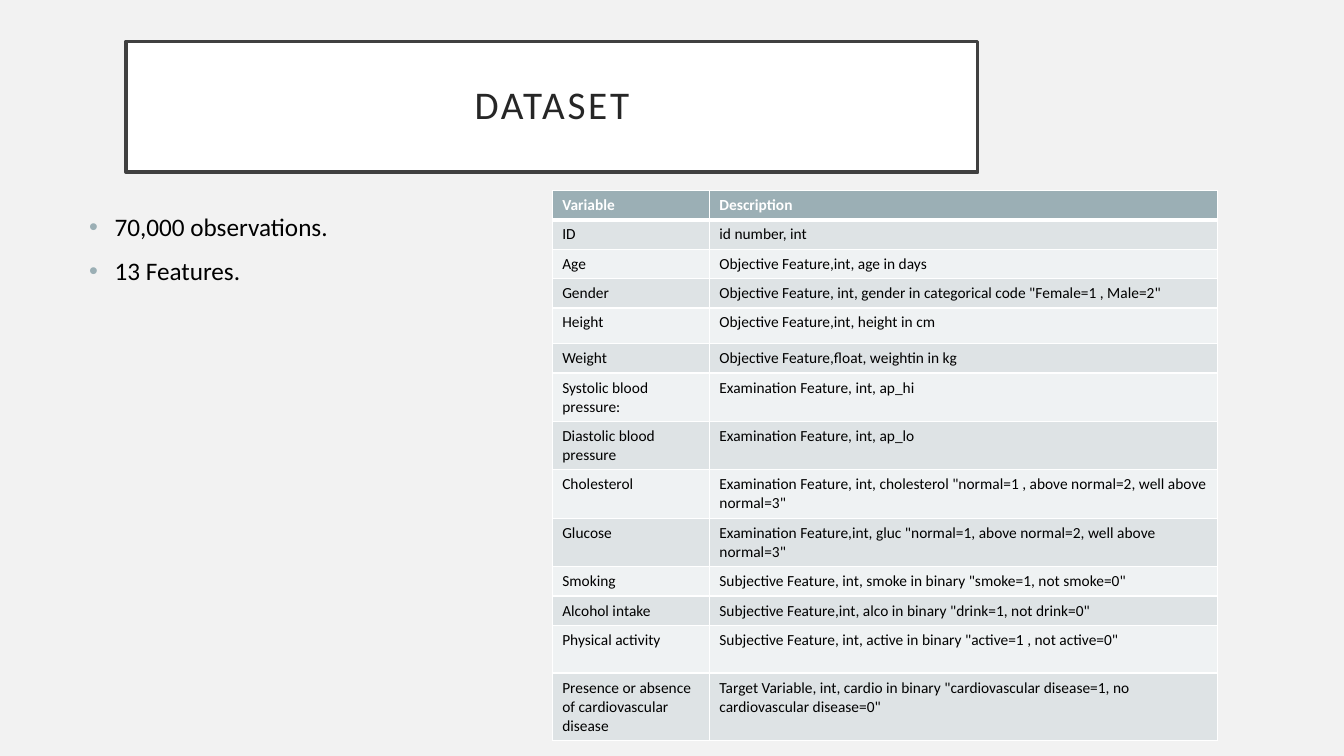
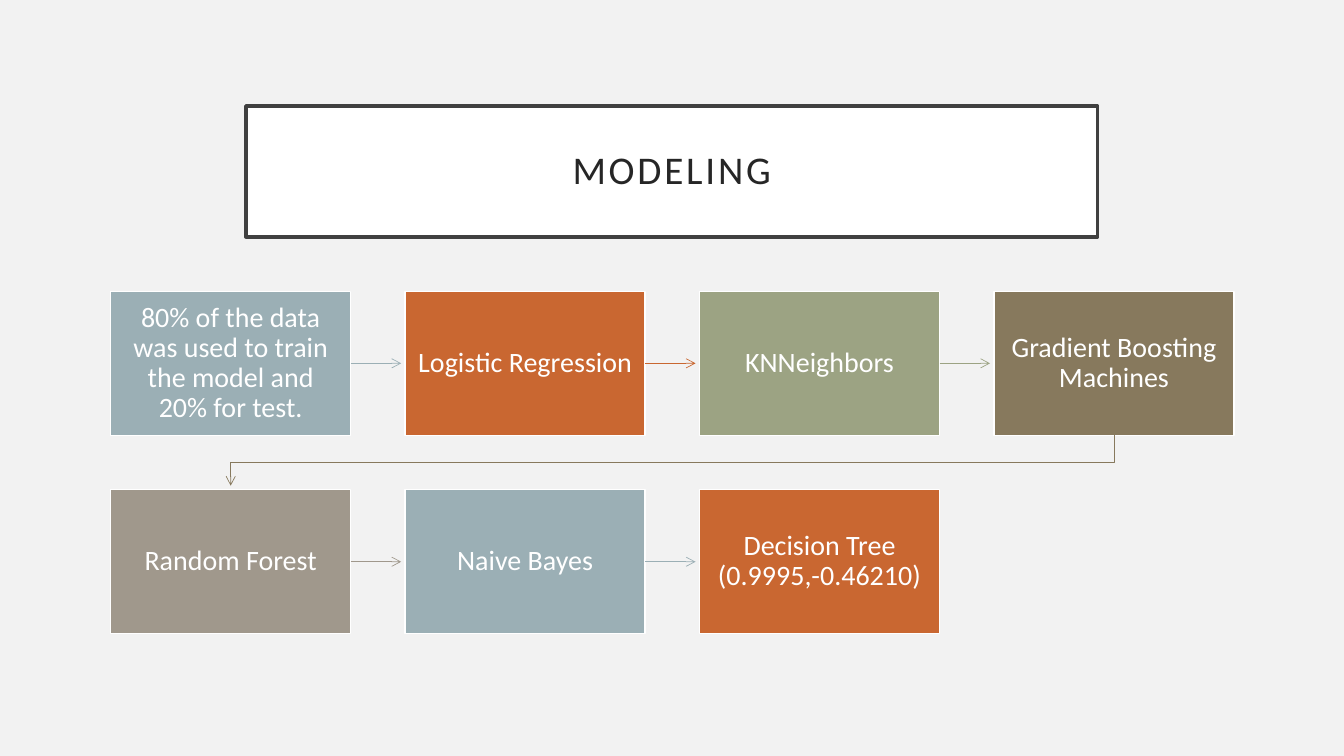
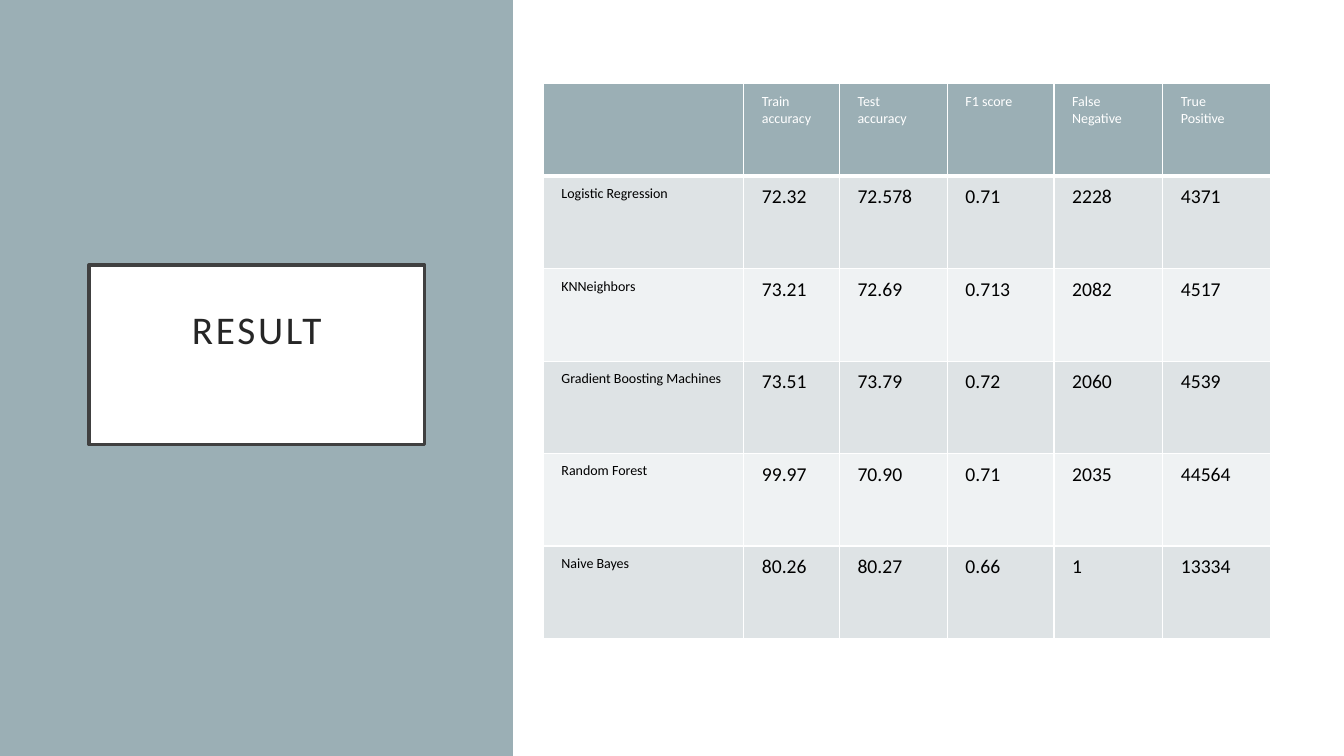
from dataclasses import dataclass
from typing import Any

from lxml.etree import SubElement
from pptx import Presentation
from pptx.dml.color import RGBColor
from pptx.enum.shapes import MSO_CONNECTOR, MSO_SHAPE
from pptx.enum.text import MSO_ANCHOR, MSO_AUTO_SIZE, PP_ALIGN
from pptx.oxml.ns import qn
from pptx.util import Cm, Pt

FONT = "Calibri"
WHITE = RGBColor(0xFF, 0xFF, 0xFF)
BLACK = RGBColor(0x00, 0x00, 0x00)
PALE = RGBColor(0xF2, 0xF2, 0xF2)
FRAME = RGBColor(0x40, 0x40, 0x40)
INK = RGBColor(0x26, 0x26, 0x26)
TEAL = RGBColor(0x9B, 0xAF, 0xB5)
RUST = RGBColor(0xC9, 0x67, 0x31)
SAGE = RGBColor(0x9C, 0xA3, 0x83)
BROWN = RGBColor(0x87, 0x79, 0x5D)
STONE = RGBColor(0xA0, 0x98, 0x8C)
BANDS = (RGBColor(0xEF, 0xF2, 0xF3), RGBColor(0xDE, 0xE3, 0xE5))
HUES = (TEAL, RUST, SAGE, BROWN, STONE)


@dataclass
class Box:
    """A place on the slide, in centimetres."""
    left: float
    top: float
    width: float
    height: float

    def dims(self) -> tuple:
        """Return the place as lengths."""
        return Cm(self.left), Cm(self.top), Cm(self.width), Cm(self.height)


@dataclass
class Grid:
    """A table: its corner, sizes, text and cell style."""
    left: float
    top: float
    cols: list[float]
    rows: list[float]
    cells: list[tuple[str, ...]]
    pad: tuple[float, float]
    sizes: tuple[float, float]
    bold: bool


FACTS = ["70,000 observations.", "13 Features."]

FIELDS = Grid(13.92, 4.8, [3.96, 12.8],
              [0.74] * 4 + [0.9, 0.74] + [1.22] * 4 + [0.74] * 2 + [1.2, 1.7], [
    ("Variable", "Description"),
    ("ID", "id number, int"),
    ("Age", "Objective Feature,int, age in days"),
    ("Gender", 'Objective Feature, int, gender in categorical code "Female=1 , Male=2"'),
    ("Height", "Objective Feature,int, height in cm"),
    ("Weight", "Objective Feature,float, weightin in kg"),
    ("Systolic blood pressure:", "Examination Feature, int, ap_hi"),
    ("Diastolic blood pressure", "Examination Feature, int, ap_lo"),
    ("Cholesterol",
     'Examination Feature, int, cholesterol "normal=1 , above normal=2, well above normal=3"'),
    ("Glucose", 'Examination Feature,int, gluc "normal=1, above normal=2, well above normal=3"'),
    ("Smoking", 'Subjective Feature, int, smoke in binary "smoke=1, not smoke=0"'),
    ("Alcohol intake", 'Subjective Feature,int, alco in binary "drink=1, not drink=0"'),
    ("Physical activity", 'Subjective Feature, int, active in binary "active=1 , not active=0"'),
    ("Presence or absence of cardiovascular disease",
     'Target Variable, int, cardio in binary "cardiovascular disease=1, '
     'no cardiovascular disease=0"'),
], (0.25, 0.13), (11, 11), True)

SCORES = Grid(13.69, 2.11, [5.05, 2.41, 2.72, 2.69, 2.74, 2.72], [2.33] * 6, [
    ("", "Train accuracy", "Test accuracy", "F1 score", "False Negative", "True Positive"),
    ("Logistic Regression", "72.32", "72.578", "0.71", "2228", "4371"),
    ("KNNeighbors", "73.21", "72.69", "0.713", "2082", "4517"),
    ("Gradient Boosting Machines", "73.51", "73.79", "0.72", "2060", "4539"),
    ("Random Forest", "99.97", "70.90", "0.71", "2035", "44564"),
    ("Naive Bayes", "80.26", "80.27", "0.66", "1", "13334"),
], (0.46, 0.23), (10, 14), False)

STEPS = [
    "80% of the data was used to train the model and 20% for test.",
    "Logistic Regression",
    "KNNeighbors",
    "Gradient Boosting Machines",
    "Random Forest",
    "Naive Bayes",
    "Decision Tree (0.9995,-0.46210)",
]
PER_ROW = 4
STEP = Box(2.79, 7.34, 6.05, 3.63)
PITCH = (7.42, 5.0)
SPACE = 0.1


def put(thing: Any, vals: dict) -> None:
    """Set each named value on an object."""
    for name, val in vals.items():
        setattr(thing, name, val)


def pads(side: float, top: float, base: float) -> dict:
    """Return the four text margins."""
    return {"margin_left": Cm(side), "margin_right": Cm(side),
            "margin_top": Cm(top), "margin_bottom": Cm(base)}


def write(para: Any, text: str, size: float, hue: RGBColor, bold: bool = False) -> Any:
    """Add one styled run to a paragraph."""
    run = para.add_run()
    run.text = text
    put(run.font, {"name": FONT, "size": Pt(size), "bold": bold})
    run.font.color.rgb = hue
    return run


def paint(shape: Any, fill: RGBColor, line: RGBColor, width: float) -> None:
    """Fill and outline a shape."""
    shape.fill.solid()
    shape.fill.fore_color.rgb = fill
    shape.line.color.rgb = line
    shape.line.width = Pt(width)


def label(shape: Any, text: str, size: float, hue: RGBColor, room: dict) -> Any:
    """Put centred text in a shape."""
    frame = shape.text_frame
    put(frame, {"word_wrap": True, "auto_size": MSO_AUTO_SIZE.NONE,
                "vertical_anchor": MSO_ANCHOR.MIDDLE, **room})
    para = frame.paragraphs[0]
    put(para, {"alignment": PP_ALIGN.CENTER, "line_spacing": 0.9})
    return write(para, text, size, hue)


def start(deck: Any, text: str, box: Box, room: dict) -> Any:
    """Add a slide with a framed title."""
    slide = deck.slides.add_slide(deck.slide_layouts[5])
    title = slide.shapes.title
    put(title, dict(zip(("left", "top", "width", "height"), box.dims())))
    paint(title, WHITE, FRAME, 2.5)
    run = label(title, text, 28, INK, room)
    run.font._element.set("spc", "200")
    return slide


def block(slide: Any, box: Box, fill: RGBColor, line: RGBColor) -> Any:
    """Add a plain rectangle."""
    shape = slide.shapes.add_shape(MSO_SHAPE.RECTANGLE, *box.dims())
    shape.shadow.inherit = False
    paint(shape, fill, line, 1)
    return shape


def edge(cell: Any, tag: str, width: float) -> None:
    """Draw one white cell border."""
    line = SubElement(cell._tc.get_or_add_tcPr(), qn(f"a:{tag}"), w=str(Pt(width)))
    fill = SubElement(line, qn("a:solidFill"))
    SubElement(fill, qn("a:srgbClr"), val=str(WHITE))


def table(slide: Any, grid: Grid) -> None:
    """Draw a banded table with a header row."""
    box = Box(grid.left, grid.top, sum(grid.cols), sum(grid.rows))
    tab = slide.shapes.add_table(len(grid.rows), len(grid.cols), *box.dims()).table
    for col, width in zip(tab.columns, grid.cols):
        col.width = Cm(width)
    side, top = grid.pad
    for i, (row, height) in enumerate(zip(tab.rows, grid.rows)):
        row.height = Cm(height)
        head = i == 0
        for j, (cell, text) in enumerate(zip(row.cells, grid.cells[i])):
            put(cell, pads(side, top, top))
            for tag, width in (("lnL", 1), ("lnR", 1), ("lnT", 3 if i == 1 else 1),
                               ("lnB", 3 if head else 1)):
                edge(cell, tag, width)
            cell.fill.solid()
            cell.fill.fore_color.rgb = TEAL if head else BANDS[i % 2]
            if text:
                size = grid.sizes[0 if head or j == 0 else 1]
                write(cell.text_frame.paragraphs[0], text, size,
                      WHITE if head else BLACK, head and grid.bold)


def bullets(slide: Any, box: Box, items: list[str]) -> None:
    """Add a bulleted list."""
    frame = slide.shapes.add_textbox(*box.dims()).text_frame
    frame.word_wrap = True
    for i, item in enumerate(items):
        para = frame.add_paragraph() if i else frame.paragraphs[0]
        para.space_before = Pt(10)
        props = para._p.get_or_add_pPr()
        props.set("marL", str(Cm(0.64)))
        props.set("indent", str(-Cm(0.64)))
        tint = SubElement(props, qn("a:buClr"))
        SubElement(tint, qn("a:srgbClr"), val=str(TEAL))
        SubElement(props, qn("a:buFont"), typeface="Arial")
        SubElement(props, qn("a:buChar"), char="•")
        write(para, item, 18, BLACK)


def arrow(slide: Any, spots: list[tuple[float, float]], hue: RGBColor) -> None:
    """Draw a thin arrow through two or more points."""
    ends = [(Cm(x), Cm(y)) for x, y in spots]
    if len(ends) == 2:
        link = slide.shapes.add_connector(MSO_CONNECTOR.STRAIGHT, *ends[0], *ends[1])
    else:
        pen = slide.shapes.build_freeform(*ends[0])
        pen.add_line_segments(ends[1:], close=False)
        link = pen.convert_to_shape()
        link.fill.background()
    link.line.color.rgb = hue
    link.line.width = Pt(0.5)
    props = link._element.spPr
    SubElement(props.find(qn("a:ln")), qn("a:tailEnd"), type="arrow")
    SubElement(props, qn("a:effectLst"))


def spot(i: int) -> Box:
    """Return the place of a step in the flow."""
    row, col = divmod(i, PER_ROW)
    return Box(STEP.left + col * PITCH[0], STEP.top + row * PITCH[1],
               STEP.width, STEP.height)


def flow(slide: Any) -> None:
    """Draw the steps and the arrows between them."""
    for i, text in enumerate(STEPS):
        box, hue = spot(i), HUES[i % len(HUES)]
        label(block(slide, box, hue, WHITE), text, 20, WHITE, pads(0.3, 0.3, 0.3))
        if i + 1 == len(STEPS):
            continue
        goal = spot(i + 1)
        if goal.top == box.top:
            mid = box.top + box.height / 2
            route = [(box.left + box.width, mid), (goal.left - SPACE, mid)]
        else:
            base = box.top + box.height
            mid = (base + goal.top) / 2
            here, there = box.left + box.width / 2, goal.left + goal.width / 2
            route = [(here, base), (here, mid), (there, mid), (there, goal.top - SPACE)]
        arrow(slide, route, hue)


def main() -> None:
    """Build and save the deck."""
    deck = Presentation()
    put(deck, {"slide_width": Cm(33.87), "slide_height": Cm(19.05)})
    back = deck.slide_master.background.fill
    back.solid()
    back.fore_color.rgb = PALE
    room = pads(0.5, 0.5, 0.5)

    data = start(deck, "DATASET", Box(3.18, 1.04, 21.46, 3.3), room)
    bullets(data, Box(2, 5.2, 11.5, 8.6), FACTS)
    table(data, FIELDS)

    flow(start(deck, "MODELING", Box(6.2, 2.67, 21.46, 3.3), room))

    score = start(deck, "RESULT", Box(2.24, 6.68, 8.46, 4.52), pads(0.76, 0.5, 1.65))
    back = score.background.fill
    back.solid()
    back.fore_color.rgb = WHITE
    panel = block(score, Box(0, 0, 12.93, 19.05), TEAL, TEAL)
    panel.line.fill.background()
    score.shapes.title._element.addprevious(panel._element)
    table(score, SCORES)

    deck.save("out.pptx")


if __name__ == "__main__":
    main()
